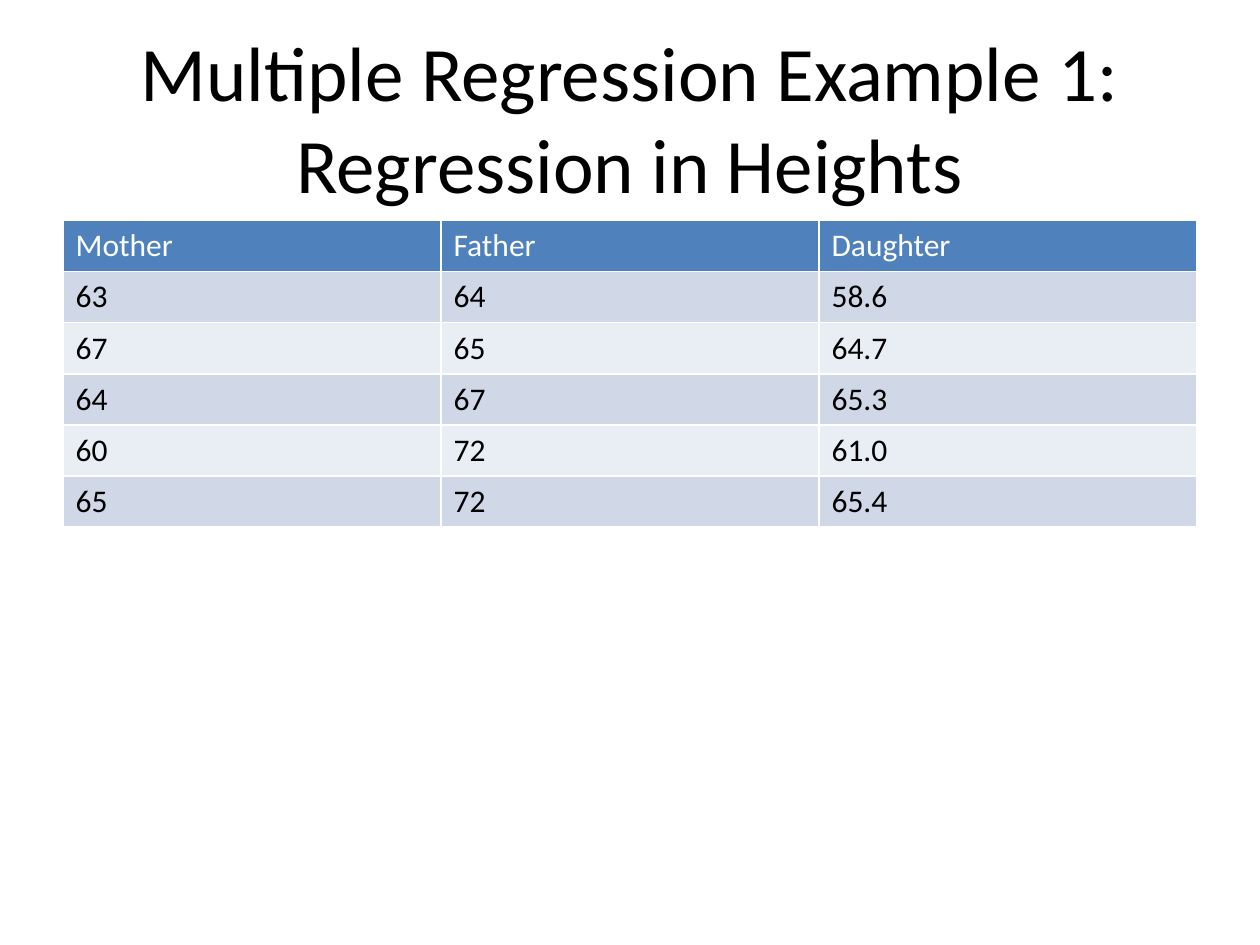
import pptx
import pptx.util
import pptx.dml.color
import pptx.enum.text

Pt = pptx.util.Pt

COLORS = {
    "text": "000000",
    "header_text": "FFFFFF",
    "header": "4F81BD",
    "odd_band": "D0D8E8",
    "even_band": "E9EDF4",
}

HEIGHTS = [
    ("Mother", "Father", "Daughter"),
    ("63", "64", "58.6"),
    ("67", "65", "64.7"),
    ("64", "67", "65.3"),
    ("60", "72", "61.0"),
    ("65", "72", "65.4"),
]


class SlideBuilder:
    font = "Calibri"
    title_size = 44
    table_size = 18

    def __init__(self, slide):
        self.slide = slide

    def color(self, key):
        return pptx.dml.color.RGBColor.from_string(COLORS[key])

    def set_text(self, frame, text, size, color):
        frame.text = text
        for run in frame.paragraphs[0].runs:
            run.font.name = self.font
            run.font.size = Pt(size)
            run.font.color.rgb = self.color(color)

    def title(self, text, left, top, width, height):
        heading = self.slide.shapes.add_textbox(Pt(left), Pt(top), Pt(width), Pt(height))
        frame = heading.text_frame
        frame.word_wrap = True
        frame.vertical_anchor = pptx.enum.text.MSO_ANCHOR.MIDDLE
        self.set_text(frame, text, self.title_size, "text")
        frame.paragraphs[0].alignment = pptx.enum.text.PP_ALIGN.CENTER

    def table(self, rows, left, top, width, row_height):
        grid = self.slide.shapes.add_table(
            len(rows), len(rows[0]), Pt(left), Pt(top), Pt(width), Pt(row_height * len(rows))
        ).table
        for r, values in enumerate(rows):
            fill = "header" if r == 0 else "odd_band" if r % 2 else "even_band"
            for c, value in enumerate(values):
                cell = grid.cell(r, c)
                cell.fill.solid()
                cell.fill.fore_color.rgb = self.color(fill)
                self.set_text(cell.text_frame, value, self.table_size, "text" if r else "header_text")


def main():
    deck = pptx.Presentation()
    deck.slide_width, deck.slide_height = Pt(720), Pt(540)
    builder = SlideBuilder(deck.slides.add_slide(deck.slide_layouts[6]))
    builder.title("Multiple Regression Example 1: Regression in Heights", 36, 21.6, 648, 90)
    builder.table(HEIGHTS, 36, 126, 648, 29.2)
    deck.save("out.pptx")


if __name__ == "__main__":
    main()
